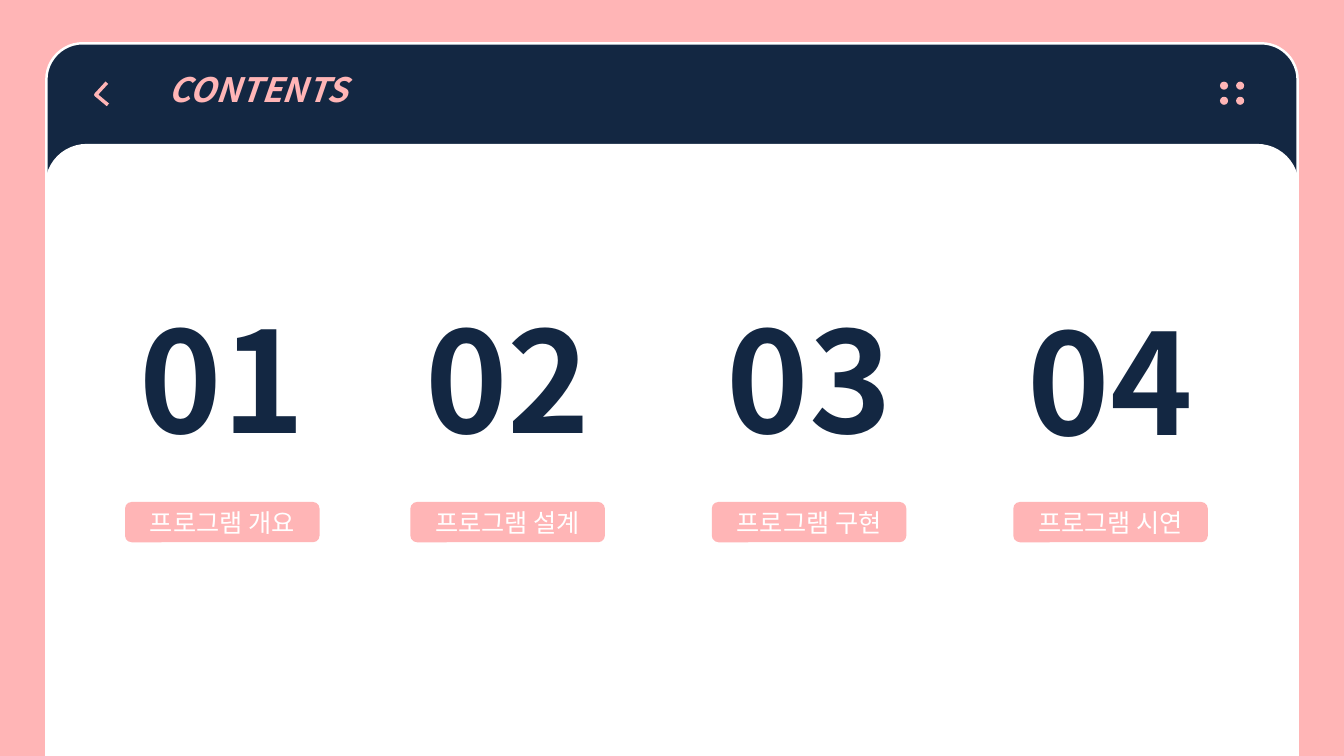
import pptx
import pptx.util
import pptx.dml.color
import pptx.enum.shapes
import pptx.enum.text
import pptx.oxml.ns
import lxml.etree

Inches = pptx.util.Inches
Pt = pptx.util.Pt
RGBColor = pptx.dml.color.RGBColor
SHAPE = pptx.enum.shapes.MSO_SHAPE
ALIGN = pptx.enum.text.PP_ALIGN
ANCHOR = pptx.enum.text.MSO_ANCHOR

PINK = RGBColor(0xFF, 0xB5, 0xB6)
NAVY = RGBColor(0x13, 0x27, 0x42)
WHITE = RGBColor(0xFF, 0xFF, 0xFF)
FONT = "Noto Sans CJK KR"


def add_filled(kind, left, top, width, height, fill, outline=None):
    shape = slide.shapes.add_shape(
        kind, Inches(left), Inches(top), Inches(width), Inches(height))
    shape.shadow.inherit = False
    shape.fill.solid()
    shape.fill.fore_color.rgb = fill
    if outline is None:
        shape.line.fill.background()
    else:
        shape.line.color.rgb = outline
        shape.line.width = Pt(1.75)
    return shape


def write(shape, text, color, align, anchor, **font_format):
    frame = shape.text_frame
    frame.word_wrap = True
    frame.vertical_anchor = anchor
    paragraph = frame.paragraphs[0]
    paragraph.alignment = align
    run = paragraph.add_run()
    run.text = text
    run.font.color.rgb = color
    for name, value in {"name": FONT, **font_format}.items():
        setattr(run.font, name, value)
    # Hangul takes its font from the East Asian slot
    east_asian = lxml.etree.SubElement(
        run.font._element, pptx.oxml.ns.qn("a:ea"))
    east_asian.set("typeface", FONT)


presentation = pptx.Presentation()
presentation.slide_width = Inches(13.33)
presentation.slide_height = Inches(7.5)
slide = presentation.slides.add_slide(presentation.slide_layouts[5])
slide.background.fill.solid()
slide.background.fill.fore_color.rgb = PINK

# Window: navy header behind the white page
for top, rounding, fill in [(0.43, 0.051, NAVY), (1.44, 0.066, WHITE)]:
    panel = add_filled(SHAPE.ROUND_2_SAME_RECTANGLE,
                       0.46, top, 12.41, 7.5 - top, fill, WHITE)
    panel.adjustments[0] = rounding
    panel.adjustments[1] = 0

# Heading, brought in front of the window
heading = slide.shapes.title
slide.shapes.element.append(heading.element)
for name, value in {"left": 1.67, "top": 0.48, "width": 6, "height": 0.8}.items():
    setattr(heading, name, Inches(value))
for side in ("left", "top", "right", "bottom"):
    setattr(heading.text_frame, f"margin_{side}", 0)
heading.text_frame.auto_size = pptx.enum.text.MSO_AUTO_SIZE.NONE
write(heading, "CONTENTS", PINK, ALIGN.LEFT, ANCHOR.TOP,
      size=Pt(24), bold=True, italic=True)
heading.text_frame.paragraphs[0].line_spacing = 1.5

# Back arrow
builder = slide.shapes.build_freeform(Inches(1.06), Inches(0.82))
builder.add_line_segments(
    [(Inches(0.95), Inches(0.94)), (Inches(1.07), Inches(1.04))], close=False)
back_arrow = builder.convert_to_shape()
back_arrow.shadow.inherit = False
back_arrow.fill.background()
back_arrow.line.color.rgb = PINK
back_arrow.line.width = Pt(2.5)

# Menu dots
for dot_top in (0.81, 0.96):
    for dot_left in (12.1, 12.26):
        add_filled(SHAPE.OVAL, dot_left, dot_top, 0.08, 0.08, PINK)

# Chapters: large number above a label
chapters = [
    (1.24, 2.86, "프로그램 개요"),
    (4.07, 2.86, "프로그램 설계"),
    (7.06, 2.86, "프로그램 구현"),
    (10.05, 2.88, "프로그램 시연"),
]
for index, (left, number_top, topic) in enumerate(chapters, start=1):
    number = slide.shapes.add_textbox(
        Inches(left), Inches(number_top), Inches(1.93), Inches(1.78))
    write(number, f"{index:02d}", NAVY, ALIGN.CENTER, ANCHOR.TOP,
          size=Pt(100), bold=True)
    label = add_filled(SHAPE.ROUNDED_RECTANGLE, left, 4.98, 1.93, 0.4, PINK)
    write(label, topic, WHITE, ALIGN.CENTER, ANCHOR.MIDDLE, size=Pt(18))

presentation.save("out.pptx")
